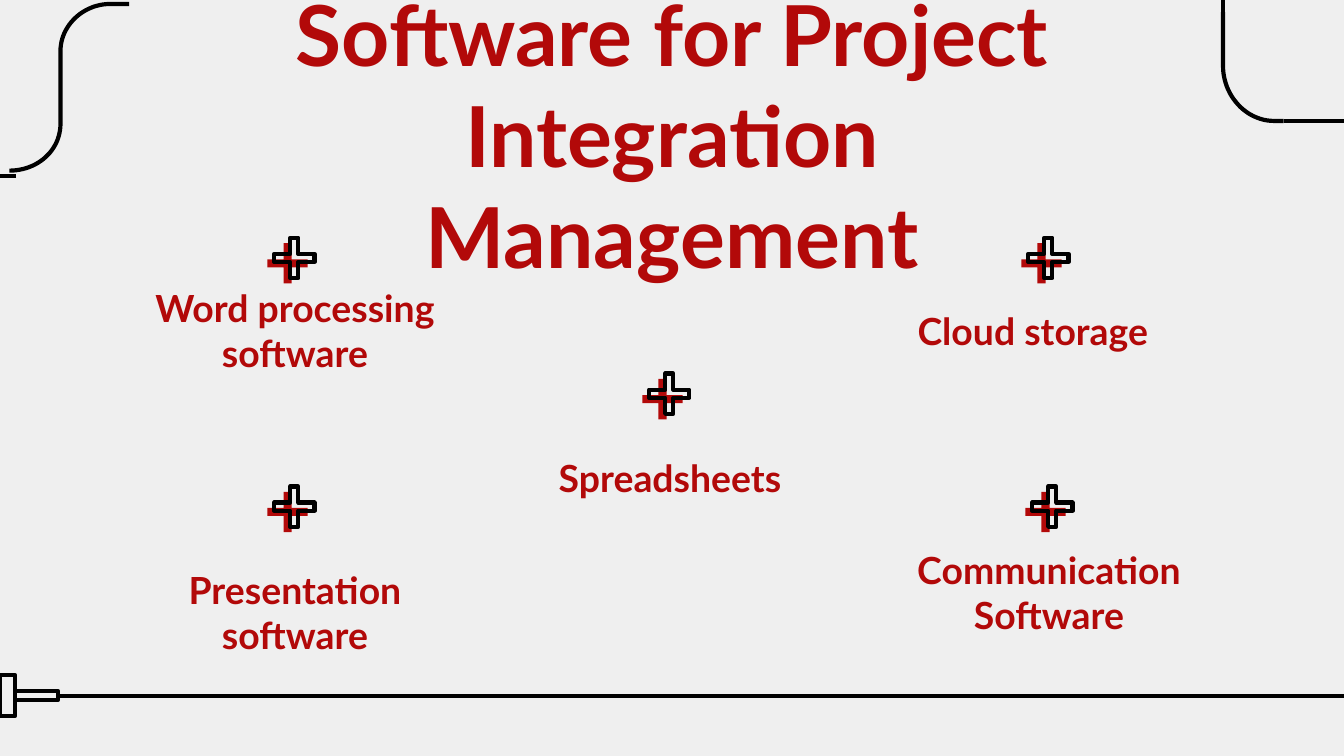
import pptx
import pptx.util
import pptx.dml.color
import pptx.enum.shapes
import pptx.enum.text
import pptx.oxml

Inches = pptx.util.Inches
MSO_SHAPE = pptx.enum.shapes.MSO_SHAPE
RED = "B20909"
BLACK = "000000"


def rgb(value):
    return pptx.dml.color.RGBColor.from_string(value)


def bezier(p0, p1, p2, p3, steps=24):
    points = []
    for i in range(1, steps + 1):
        t = i / steps
        u = 1 - t
        points.append(tuple(
            u**3 * a + 3 * u**2 * t * b + 3 * u * t**2 * c + t**3 * d
            for a, b, c, d in zip(p0, p1, p2, p3)
        ))
    return points


prs = pptx.Presentation()
prs.slide_width = Inches(10)
prs.slide_height = Inches(10 * 9 / 16)
s = prs.slides.add_slide(prs.slide_layouts[5])
s.background.fill.solid()
s.background.fill.fore_color.rgb = rgb("EFEFEF")

outlined = []

for x, y, w, h in [(0, 5.02, 0.11, 0.31), (0.11, 5.14, 0.32, 0.07)]:
    outlined.append(s.shapes.add_shape(
        MSO_SHAPE.RECTANGLE, Inches(x), Inches(y), Inches(w), Inches(h)))

lines = [
    (0.43, 5.18, 10.01, 5.18),
    (9.1, -0.69, 9.1, 0.09),
    (10.05, 0.9, 9.55, 0.9),
    (0.12, 1.31, -0.08, 1.31),
]
for line in lines:
    sp = s.shapes.add_connector(
        pptx.enum.shapes.MSO_CONNECTOR.STRAIGHT, *[Inches(v) for v in line])
    sp.line.color.rgb = rgb(BLACK)
    sp.line.width = pptx.util.Pt(2.25)
    sp._element.spPr.append(pptx.oxml.parse_xml(
        '<a:effectLst xmlns:a="http://schemas.openxmlformats.org/drawingml/2006/main"/>'))

right_curve = [(9.1, 0.09), (9.1, 0.49)]
right_curve += bezier((9.1, 0.49), (9.1, 0.71), (9.27, 0.9), (9.48, 0.9))
right_curve.append((9.55, 0.9))

left_curve = [(0.07, 1.27)]
left_curve += bezier((0.07, 1.27), (0.28, 1.27), (0.45, 1.12), (0.45, 0.92))
left_curve.append((0.45, 0.38))
left_curve += bezier((0.45, 0.38), (0.45, 0.19), (0.62, 0.03), (0.82, 0.03))
left_curve.append((0.96, 0.03))

for points in (right_curve, left_curve):
    points = [(Inches(x), Inches(y)) for x, y in points]
    builder = s.shapes.build_freeform(*points[0])
    builder.add_line_segments(points[1:], close=False)
    outlined.append(builder.convert_to_shape())

title = s.shapes.title
title.left, title.top = Inches(1.81), Inches(0.68)
title.width, title.height = Inches(6.38), Inches(0.63)
texts = [(title, "Software for Project Integration Management", 45,
          pptx.enum.text.MSO_ANCHOR.MIDDLE)]

labels = [
    ("Word processing software", 0.95, 2.35),
    ("Spreadsheets", 3.74, 3.28),
    ("Cloud storage", 6.44, 2.19),
    ("Presentation software", 0.95, 4.45),
    ("Communication Software", 6.56, 4.3),
]
for text, x, y in labels:
    sp = s.shapes.add_textbox(Inches(x), Inches(y), Inches(2.49), Inches(0.54))
    texts.append((sp, text, 20, pptx.enum.text.MSO_ANCHOR.BOTTOM))

for sp, text, size, anchor in texts:
    tf = sp.text_frame
    tf.word_wrap = True
    tf.auto_size = pptx.enum.text.MSO_AUTO_SIZE.NONE
    tf.vertical_anchor = anchor
    tf.margin_left = tf.margin_right = tf.margin_top = tf.margin_bottom = Inches(0.1)
    p = tf.paragraphs[0]
    p.text = text
    p.alignment = pptx.enum.text.PP_ALIGN.CENTER
    p.font.name = "Lato"
    p.font.size = pptx.util.Pt(size)
    p.font.bold = True
    p.font.color.rgb = rgb(RED)

for x, y in [(1.99, 1.81), (1.99, 3.66), (4.78, 2.82), (7.6, 1.81), (7.63, 3.66)]:
    back, front = [
        s.shapes.add_shape(MSO_SHAPE.CROSS, Inches(x + dx), Inches(y - dy),
                           Inches(0.3), Inches(0.3))
        for dx, dy in [(0, 0), (0.05, 0.04)]
    ]
    back.adjustments[0] = front.adjustments[0] = 0.4
    back.shadow.inherit = False
    back.fill.solid()
    back.fill.fore_color.rgb = rgb(RED)
    back.line.fill.background()
    outlined.append(front)

for sp in outlined:
    sp.shadow.inherit = False
    sp.fill.background()
    sp.line.color.rgb = rgb(BLACK)
    sp.line.width = pptx.util.Pt(2.25)

prs.save("out.pptx")
